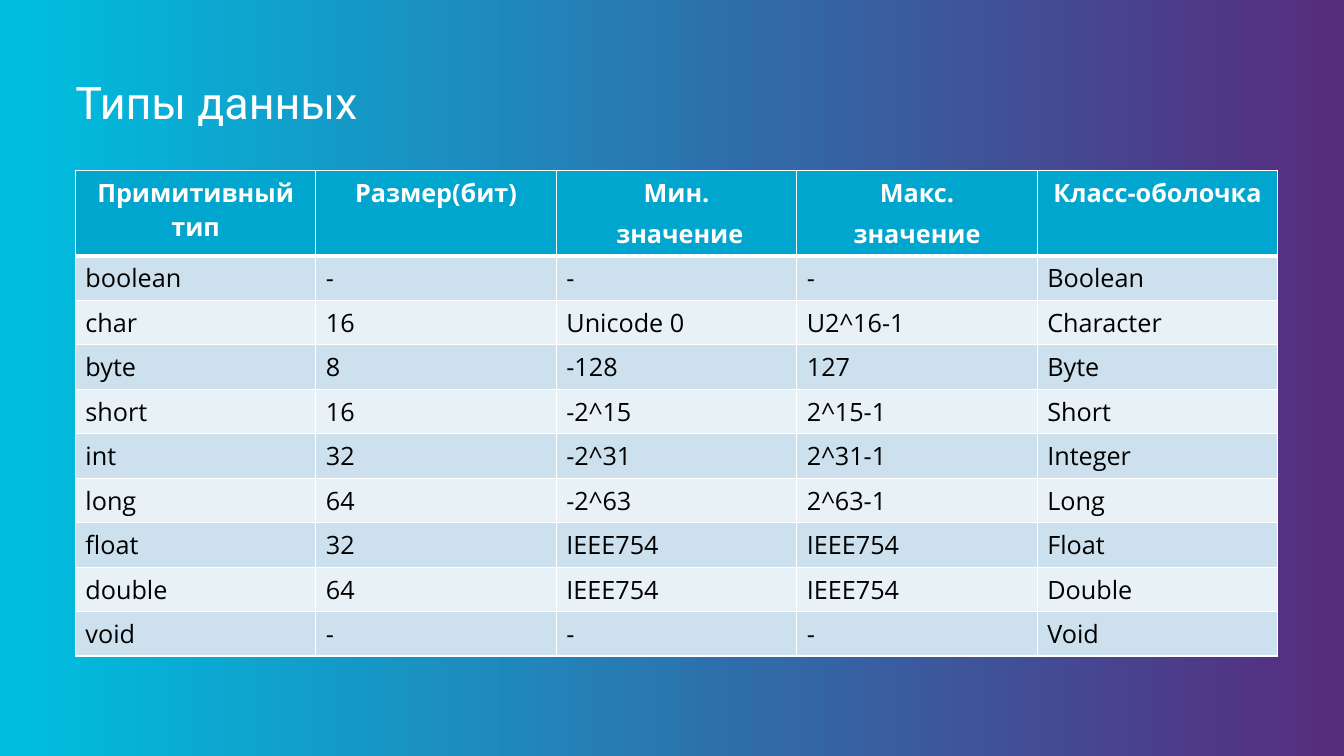
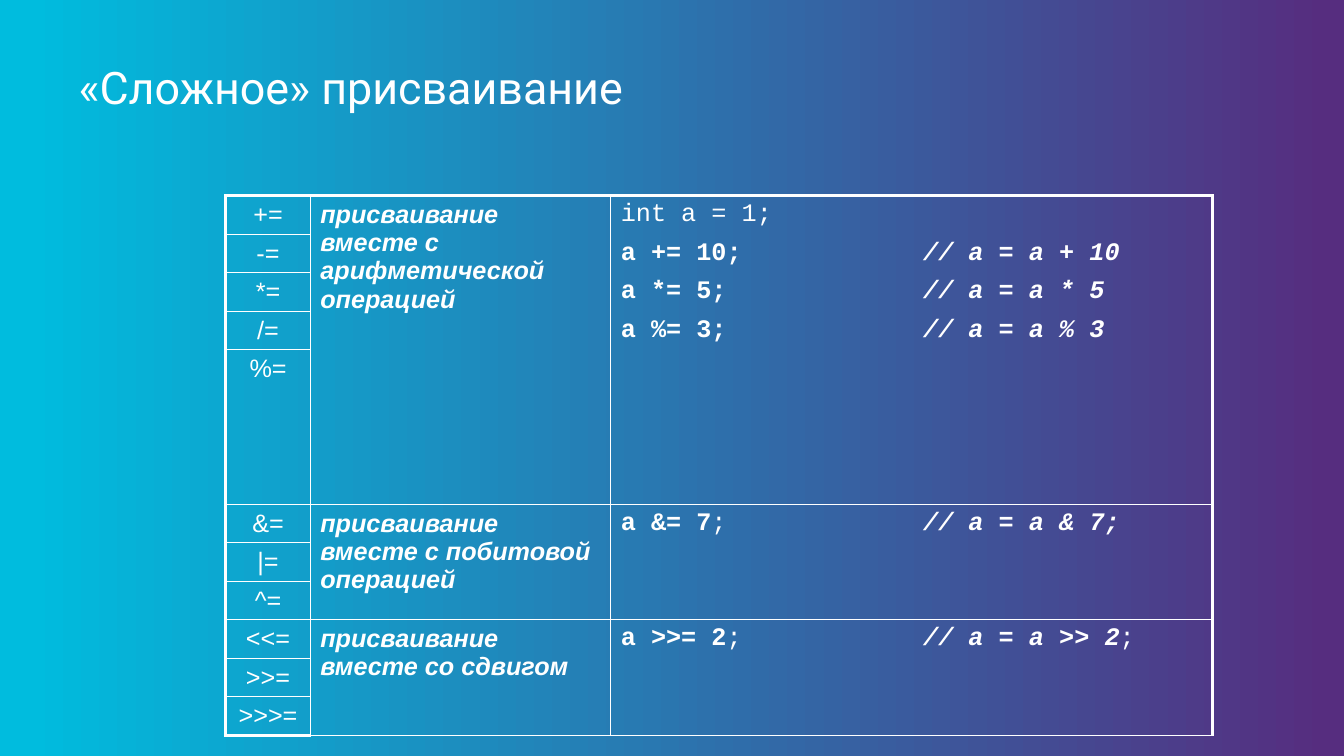
"""Build two slides about data types and compound assignment."""
from lxml.etree import Element, SubElement
from pptx import Presentation
from pptx.dml.color import RGBColor
from pptx.enum.text import MSO_ANCHOR, MSO_AUTO_SIZE, PP_ALIGN
from pptx.oxml.ns import qn
from pptx.util import Cm, Pt

rgb = RGBColor.from_string
WHITE, BLACK = "FFFFFF", "000000"
PURPLE, CYAN = "562D7F", "00BCDE"
HEADER, BANDS = "00A6CE", ("E7F1F6", "CCE1ED")
THIN, MEDIUM, THICK = 1, 2.25, 3


def add_text(p, text, font="Arial", size=18, color=WHITE, bold=False, italic=False):
    r = p.add_run()
    r.text = text
    f = r.font
    f.name, f.size, f.bold, f.italic = font, Pt(size), bold, italic
    f.color.rgb = rgb(color)


def set_borders(cell, left=THIN, right=THIN, top=THIN, bottom=THIN):
    tcPr = cell._tc.get_or_add_tcPr()
    sides = zip(("a:lnL", "a:lnR", "a:lnT", "a:lnB"), (left, right, top, bottom))
    for i, (tag, width) in enumerate(sides):
        ln = Element(qn(tag), w=str(Pt(width)))
        fill = SubElement(ln, qn("a:solidFill"))
        SubElement(fill, qn("a:srgbClr"), val=WHITE)
        tcPr.insert(i, ln)


prs = Presentation()
prs.slide_width, prs.slide_height = Cm(33.87), Cm(19.05)

bg = prs.slide_master.background.fill
bg.gradient()
bg.gradient_angle = 180
for stop, color, pos in zip(bg.gradient_stops, (PURPLE, CYAN), (0.01, 0.98)):
    stop.color.rgb = rgb(color)
    stop.position = pos

titles = [("Типы данных", 1.9, 1.9), ("«Сложное» присваивание", 1.98, 1.52)]
for text, left, top in titles:
    s = prs.slides.add_slide(prs.slide_layouts[5])
    sp = s.shapes.title
    sp.left, sp.top, sp.width, sp.height = Cm(left), Cm(top), Cm(30.05), Cm(1.9)
    tf = sp.text_frame
    tf.auto_size, tf.vertical_anchor = MSO_AUTO_SIZE.NONE, MSO_ANCHOR.TOP
    tf.margin_left = 0
    p = tf.paragraphs[0]
    p.alignment, p.line_spacing = PP_ALIGN.LEFT, 0.9
    add_text(p, text, font="Roboto", size=32)
types_slide, assign_slide = prs.slides

types = [
    ("Примитивный тип", "Размер(бит)", "Мин.\n значение", "Макс.\nзначение", "Класс-оболочка"),
    ("boolean", "-", "-", "-", "Boolean"),
    ("char", "16", "Unicode 0", "U2^16-1", "Character"),
    ("byte", "8", "-128", "127", "Byte"),
    ("short", "16", "-2^15", "2^15-1", "Short"),
    ("int", "32", "-2^31", "2^31-1", "Integer"),
    ("long", "64", "-2^63", "2^63-1", "Long"),
    ("float", "32", "IEEE754", "IEEE754", "Float"),
    ("double", "64", "IEEE754", "IEEE754", "Double"),
    ("void", "-", "-", "-", "Void"),
]
rows, cols = len(types), len(types[0])
tbl = types_slide.shapes.add_table(
    rows, cols, Cm(1.9), Cm(4.29), Cm(6.06 * cols), Cm(2.16 + 1.12 * (rows - 1))).table
for col in tbl.columns:
    col.width = Cm(6.06)
for i, row in enumerate(types):
    head = i == 0
    tbl.rows[i].height = Cm(2.16 if head else 1.12)
    for j, text in enumerate(row):
        cell = tbl.cell(i, j)
        cell.fill.solid()
        cell.fill.fore_color.rgb = rgb(HEADER if head else BANDS[i % 2])
        set_borders(cell, top=THICK if i == 1 else THIN, bottom=THICK if head else THIN)
        tf = cell.text_frame
        for k, line in enumerate(text.split("\n")):
            p = tf.add_paragraph() if k else tf.paragraphs[0]
            p.alignment = PP_ALIGN.CENTER if head else PP_ALIGN.LEFT
            p.space_before = Pt(5 if k else 0)
            add_text(p, line, font="Open Sans", color=WHITE if head else BLACK, bold=head)

groups = [
    (["+=", "-=", "*=", "/=", "%="], "присваивание вместе с арифметической операцией", [
        [("int a = 1;", False, False)],
        [("a += 10;\t", True, False), ("// a = a + 10", True, True)],
        [("a *= 5;\t", True, False), ("// a = a * 5", True, True)],
        [("a %= 3;\t", True, False), ("// a = a % 3", True, True)],
    ]),
    (["&=", "|=", "^="], "присваивание вместе с побитовой операцией", [
        [("a &= 7", True, False), (";\t", False, False), ("// a = a & 7;", True, True)],
    ]),
    (["<<=", ">>=", ">>>="], "присваивание вместе со сдвигом", [
        [("a >>= 2", True, False), (";\t", False, False),
         ("// a = a >> 2", True, True), (";", False, False)],
    ]),
]
widths = (2.13, 7.57, 15.16)
heights = [0.97] * 11
heights[4] = 3.89
rows, cols = len(heights), len(widths)
tbl = assign_slide.shapes.add_table(
    rows, cols, Cm(5.69), Cm(4.93), Cm(sum(widths)), Cm(sum(heights))).table
tbl.first_row = tbl.horz_banding = False
for col, width in zip(tbl.columns, widths):
    col.width = Cm(width)
for i, height in enumerate(heights):
    tbl.rows[i].height = Cm(height)
    for j in range(cols):
        cell = tbl.cell(i, j)
        cell.fill.background()
        set_borders(cell,
                    left=MEDIUM if j == 0 else THIN,
                    right=MEDIUM if j == cols - 1 else THIN,
                    top=MEDIUM if i == 0 else THIN,
                    bottom=MEDIUM if i == rows - 1 else THIN)

first = 0
for operators, meaning, code in groups:
    last = first + len(operators) - 1
    for j in (1, 2):
        tbl.cell(first, j).merge(tbl.cell(last, j))
    for i, operator in enumerate(operators, first):
        p = tbl.cell(i, 0).text_frame.paragraphs[0]
        p.alignment, p.space_after = PP_ALIGN.CENTER, Pt(7.2)
        add_text(p, operator)
    p = tbl.cell(first, 1).text_frame.paragraphs[0]
    p.space_after = Pt(7.2)
    add_text(p, meaning, bold=True, italic=True)
    tf = tbl.cell(first, 2).text_frame
    for k, line in enumerate(code):
        p = tf.add_paragraph() if k else tf.paragraphs[0]
        p.space_after = Pt(7.2)
        tabs = SubElement(p._p.get_or_add_pPr(), qn("a:tabLst"))
        SubElement(tabs, qn("a:tab"), pos=str(Cm(7.62)), algn="l")
        for text, bold, italic in line:
            add_text(p, text, font="Courier New", bold=bold, italic=italic)
    first = last + 1

prs.save("out.pptx")
